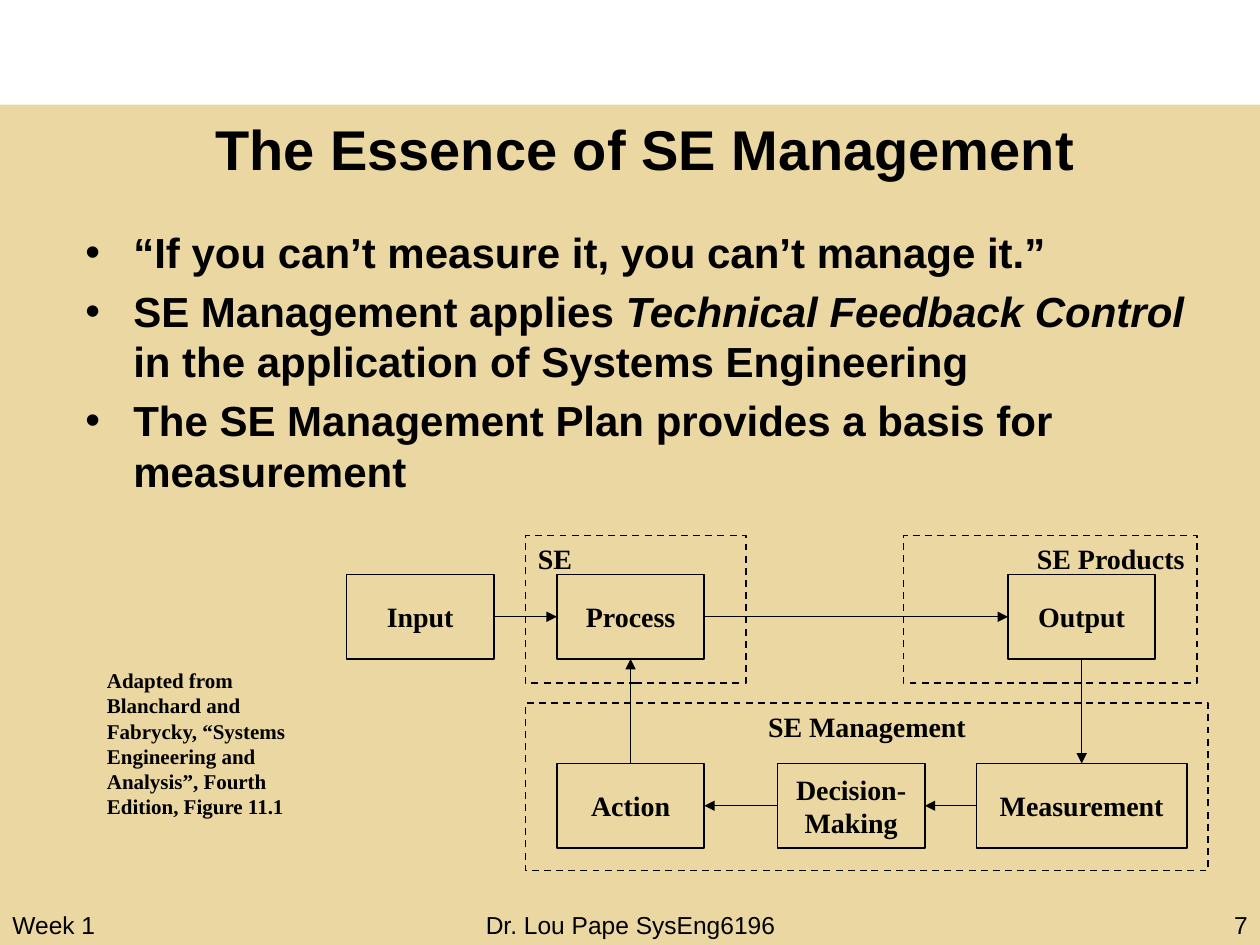
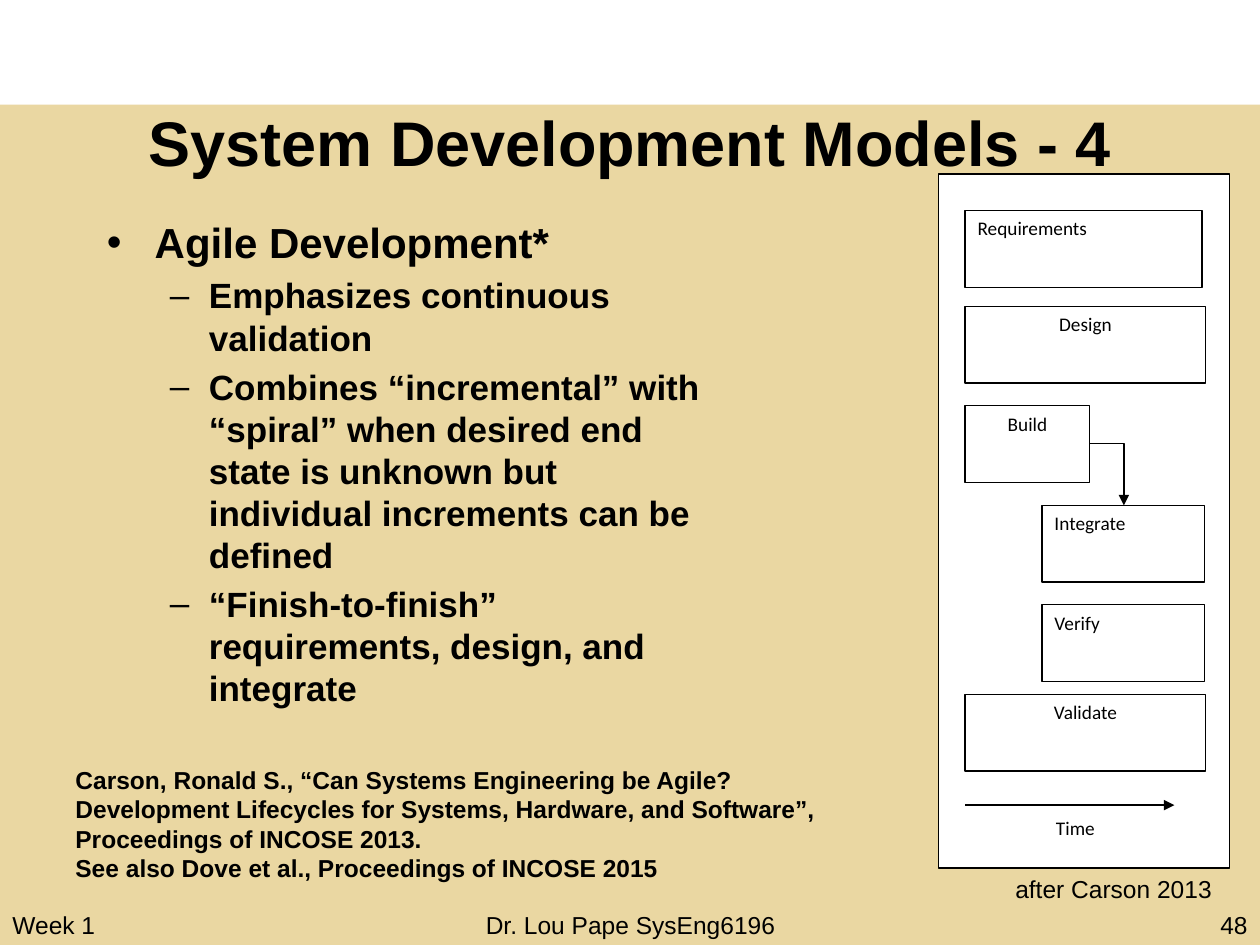
from pptx import Presentation
from pptx.dml.color import RGBColor
from pptx.enum.dml import MSO_LINE
from pptx.enum.shapes import MSO_CONNECTOR as Link, MSO_SHAPE as Shape
from pptx.enum.text import MSO_ANCHOR as Anchor, PP_ALIGN as Align
from pptx.oxml.ns import qn
from pptx.util import Inches, Pt
from lxml.etree import SubElement

BLACK = RGBColor(0, 0, 0)
WHITE = RGBColor(255, 255, 255)
SAND = RGBColor(0xEA, 0xD7, 0xA2)

FOOTER = dict(size=14, name="Arial")
HEADING = dict(name="Arial", bold=True)
CITATION = dict(size=14, name="Arial", bold=True)
SOURCE = dict(size=12, name="Times New Roman", bold=True)
DIAGRAM = dict(size=16, name="Times New Roman", bold=True)
PHASE = dict(size=11, name="Calibri")
LEVELS = [("•", 24, 0.38, 0.38), ("–", 20, 0.81, 0.31)]

ESSENCE_BULLETS = [
    (0, ["“If you can’t measure it, you can’t manage it.”"]),
    (0, ["SE Management applies ", "*Technical Feedback Control",
         " in the application of Systems Engineering"]),
    (0, ["The SE Management Plan provides a basis for measurement"]),
]
ESSENCE_SOURCE = ("Adapted from Blanchard and Fabrycky, “Systems Engineering and "
                  "Analysis”, Fourth Edition, Figure 11.1")
ZONES = [
    ("SE Management", (4.17, 5.58, 5.42, 1.33), Align.CENTER),
    ("SE", (4.17, 4.25, 1.75, 1.17), Align.LEFT),
    ("SE Products", (7.17, 4.25, 2.33, 1.17), Align.RIGHT),
]
FLOW_TOP, FEEDBACK_TOP, STEP_HEIGHT = 4.56, 6.06, 0.67
STEPS = {
    "Input": (2.75, FLOW_TOP, 1.17),
    "Process": (4.42, FLOW_TOP, 1.17),
    "Output": (8, FLOW_TOP, 1.17),
    "Measurement": (7.75, FEEDBACK_TOP, 1.67),
    "Decision-Making": (6.17, FEEDBACK_TOP, 1.17),
    "Action": (4.42, FEEDBACK_TOP, 1.17),
}
STEP_LINKS = [("Input", "Process"), ("Process", "Output"), ("Output", "Measurement"),
              ("Measurement", "Decision-Making"), ("Decision-Making", "Action"),
              ("Action", "Process")]

AGILE_BULLETS = [
    (0, ["Agile Development*"]),
    (1, ["Emphasizes continuous validation"]),
    (1, ["Combines “incremental” with “spiral” when desired end state is unknown "
         "but individual increments can be defined"]),
    (1, ["“Finish-to-finish” requirements, design, and integrate"]),
]
AGILE_SOURCES = [
    "Carson, Ronald S., “Can Systems Engineering be Agile? Development Lifecycles for "
    "Systems, Hardware, and Software”, Proceedings of INCOSE 2013.",
    "See also Dove et al., Proceedings of INCOSE 2015",
]
PHASE_LEFT, PHASE_HEIGHT, LATE_LEFT = 7.66, 0.61, 8.27
PHASES = [
    ("Requirements", PHASE_LEFT, 1.67, 1.88, Align.LEFT),
    ("Design", PHASE_LEFT, 2.43, 1.91, Align.CENTER),
    ("Build", PHASE_LEFT, 3.22, 0.99, Align.CENTER),
    ("Integrate", LATE_LEFT, 4.01, 1.29, Align.LEFT),
    ("Verify", LATE_LEFT, 4.8, 1.29, Align.LEFT),
    ("Validate", PHASE_LEFT, 5.51, 1.91, Align.CENTER),
]


def add_span(para, text, style):
    span = para.add_run()
    span.text = text
    span.font.color.rgb = BLACK
    for key, value in style.items():
        setattr(span.font, key, Pt(value) if key == "size" else value)


def write(box, lines, style, anchor=Anchor.TOP, wrap=True, **layout):
    frame = box.text_frame
    frame.word_wrap = wrap
    frame.vertical_anchor = anchor
    for index, line in enumerate(lines):
        para = frame.add_paragraph() if index else frame.paragraphs[0]
        para.alignment = Align.LEFT
        for key, value in layout.items():
            setattr(para, key, value)
        add_span(para, line, style)


def add_text(page, place, lines, style, **layout):
    box = page.shapes.add_textbox(*map(Inches, place))
    write(box, lines, style, **layout)


def add_rect(page, place, fill=None, line=None, dashed=False):
    rect = page.shapes.add_shape(Shape.RECTANGLE, *map(Inches, place))
    rect.shadow.inherit = False
    if fill is None:
        rect.fill.background()
    else:
        rect.fill.solid()
        rect.fill.fore_color.rgb = fill
    if line is None:
        rect.line.fill.background()
    else:
        rect.line.color.rgb = BLACK
        rect.line.width = Pt(line)
        if dashed:
            rect.line.dash_style = MSO_LINE.DASH
    return rect


def add_arrow(page, start, end, kind=Link.STRAIGHT):
    arrow = page.shapes.add_connector(kind, *map(Inches, (*start, *end)))
    arrow.line.color.rgb = BLACK
    arrow.line.width = Pt(0.75)
    SubElement(arrow.line._get_or_add_ln(), qn("a:tailEnd"), type="triangle")
    properties = arrow._element.spPr
    SubElement(properties, qn("a:effectLst"))
    if kind == Link.ELBOW:
        properties.find(qn("a:prstGeom")).set("prst", "bentConnector2")


def add_bullets(page, place, bullets):
    frame = page.shapes.add_textbox(*map(Inches, place)).text_frame
    frame.word_wrap = True
    for index, (level, parts) in enumerate(bullets):
        mark, size, margin, hang = LEVELS[level]
        para = frame.add_paragraph() if index else frame.paragraphs[0]
        para.level = level
        para.space_before = Pt(size * 0.2)
        properties = para._p.get_or_add_pPr()
        properties.set("marL", str(Inches(margin)))
        properties.set("indent", str(-Inches(hang)))
        SubElement(properties, qn("a:buFont"), typeface="Arial")
        SubElement(properties, qn("a:buChar"), char=mark)
        for part in parts:
            style = dict(HEADING, size=size, italic=part.startswith("*"))
            add_span(para, part.removeprefix("*"), style)


def add_page(deck, title, title_place, title_size, number):
    page = deck.slides.add_slide(deck.slide_layouts[6])
    add_rect(page, (0, 0.83, 10, 6.67), SAND)
    for text, left, width, alignment in [
            ("Week 1", 0, 2.08, Align.LEFT),
            ("Dr. Lou Pape SysEng6196", 3.42, 3.17, Align.CENTER),
            (str(number), 7.92, 2.08, Align.RIGHT)]:
        add_text(page, (left, 7.17, width, 0.33), [text], FOOTER, alignment=alignment)
    add_text(page, title_place, [title], dict(HEADING, size=title_size),
             anchor=Anchor.MIDDLE, alignment=Align.CENTER)
    return page


def link_steps(page, first, second):
    left, top, width = STEPS[first]
    next_left, next_top, next_width = STEPS[second]
    if top == next_top:
        middle = top + STEP_HEIGHT / 2
        forward = left < next_left
        start = left + width if forward else left
        end = next_left if forward else next_left + next_width
        add_arrow(page, (start, middle), (end, middle))
    else:
        center = left + width / 2
        down = top < next_top
        start = top + STEP_HEIGHT if down else top
        end = next_top if down else next_top + STEP_HEIGHT
        add_arrow(page, (center, start), (center, end))


def build_essence(deck):
    page = add_page(deck, "The Essence of SE Management", (0.99, 1.08, 8.26, 0.19), 32, 7)
    add_bullets(page, (0.58, 1.75, 9.07, 1.92), ESSENCE_BULLETS)
    add_text(page, (0.75, 5.25, 1.92, 1.3), [ESSENCE_SOURCE], SOURCE, anchor=Anchor.MIDDLE)
    for name, place, alignment in ZONES:
        zone = add_rect(page, place, line=1, dashed=True)
        write(zone, [name], DIAGRAM, alignment=alignment, space_before=Pt(3.2))
    for name, place in STEPS.items():
        step = add_rect(page, (*place, STEP_HEIGHT), line=1)
        write(step, [name], DIAGRAM, anchor=Anchor.MIDDLE, alignment=Align.CENTER,
              space_before=Pt(3.2))
    for first, second in STEP_LINKS:
        link_steps(page, first, second)


def build_agile(deck):
    page = add_page(deck, "System Development Models - 4", (0.75, 0.75, 8.5, 0.75), 36, 48)
    add_bullets(page, (0.75, 1.67, 5, 4.4), AGILE_BULLETS)
    add_rect(page, (7.45, 1.38, 2.31, 5.51), WHITE, 0.75)
    for name, left, top, width, alignment in PHASES:
        phase = add_rect(page, (left, top, width, PHASE_HEIGHT), WHITE, 0.75)
        write(phase, [name], PHASE, alignment=alignment, space_after=Pt(10))
    time = add_rect(page, (7.76, 6.43, 1.55, 0.27), WHITE)
    write(time, ["Time"], PHASE, alignment=Align.CENTER, space_after=Pt(10))
    add_arrow(page, (PHASE_LEFT, 6.39), (9.32, 6.39))
    add_arrow(page, (8.65, 3.52), (8.92, 4.01), Link.ELBOW)
    add_text(page, (0.5, 6.02, 6.58, 1.04), AGILE_SOURCES, CITATION)
    add_text(page, (7.96, 6.89, 1.77, 0.34), ["after Carson 2013"], FOOTER, wrap=False)


def main():
    deck = Presentation()
    deck.slide_width, deck.slide_height = Inches(10), Inches(7.5)
    build_essence(deck)
    build_agile(deck)
    deck.save("out.pptx")


if __name__ == "__main__":
    main()
